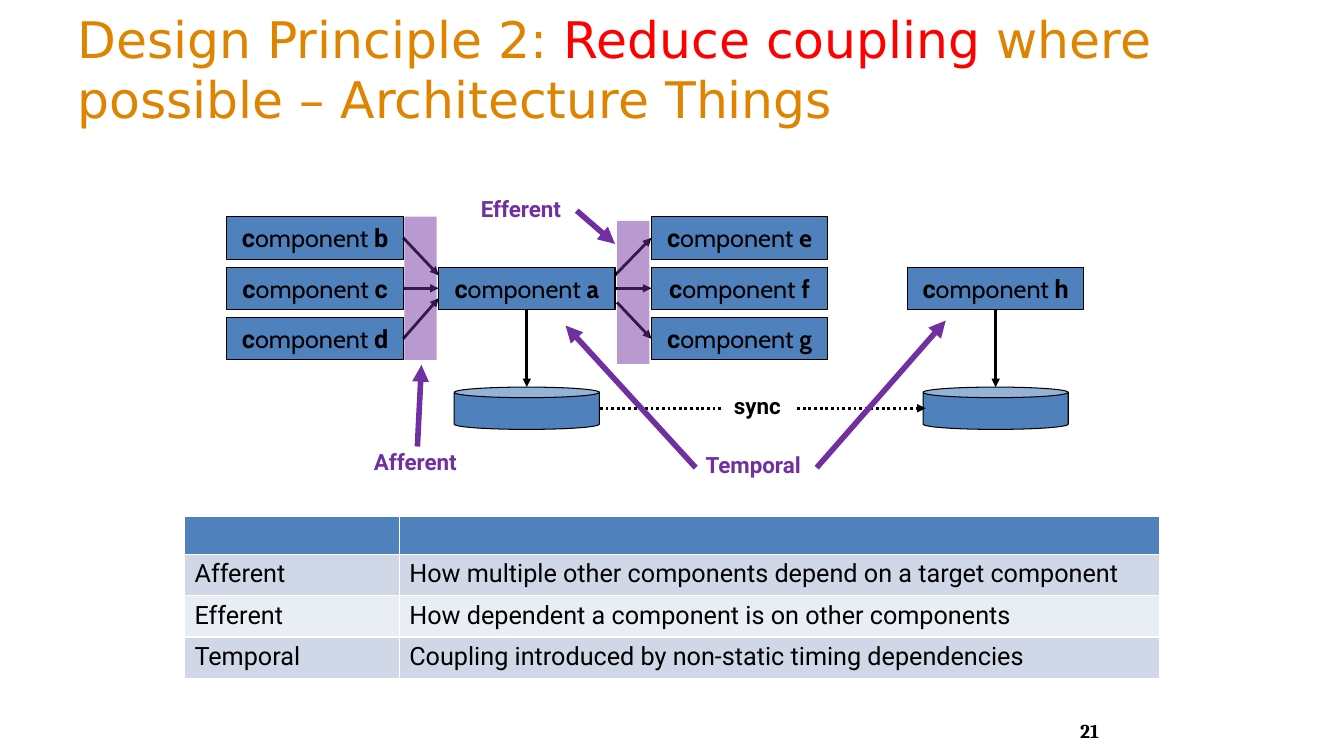
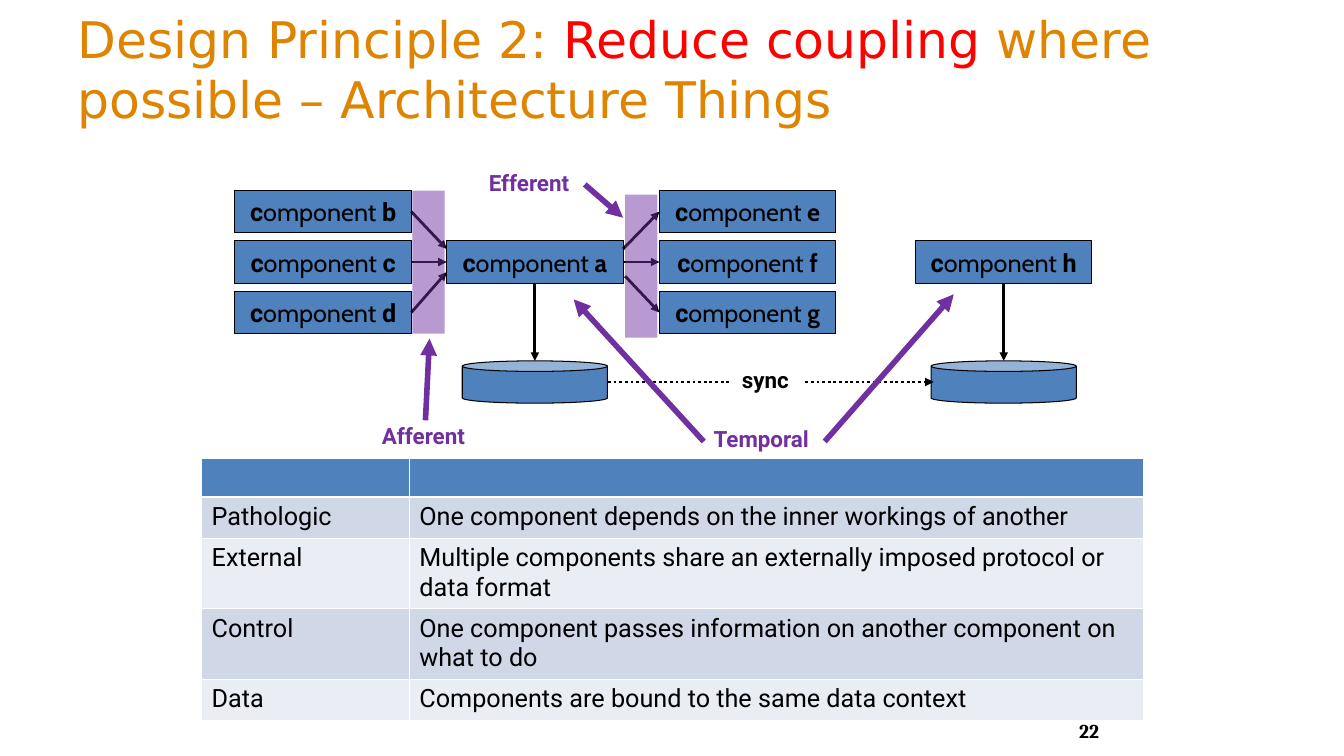
from pptx import Presentation
from pptx.dml.color import RGBColor
from pptx.enum.dml import MSO_LINE
from pptx.enum.shapes import MSO_CONNECTOR, MSO_SHAPE
from pptx.enum.text import MSO_ANCHOR, MSO_AUTO_SIZE, PP_ALIGN
from pptx.oxml.ns import qn
from pptx.util import Inches, Pt
from lxml import etree

RECT, CAN, STRAIGHT = MSO_SHAPE.RECTANGLE, MSO_SHAPE.CAN, MSO_CONNECTOR.STRAIGHT
LEFT, CENTER, RIGHT = PP_ALIGN.LEFT, PP_ALIGN.CENTER, PP_ALIGN.RIGHT
MIDDLE, NO_FIT, DOTTED = MSO_ANCHOR.MIDDLE, MSO_AUTO_SIZE.NONE, MSO_LINE.ROUND_DOT

ORANGE = RGBColor(0xDE, 0x84, 0x00)
RED = RGBColor(0xFF, 0x00, 0x00)
BLUE = RGBColor(0x4F, 0x81, 0xBD)
PURPLE = RGBColor(0x70, 0x30, 0xA0)
BLACK = RGBColor(0x00, 0x00, 0x00)
WHITE = RGBColor(0xFF, 0xFF, 0xFF)
BANDS = [RGBColor(0xE9, 0xED, 0xF4), RGBColor(0xD0, 0xD8, 0xE8)]

TITLE = [("Design Principle 2: ", ORANGE), ("Reduce coupling ", RED),
         ("where possible – Architecture Things", ORANGE)]

BOX_W, BOX_H, ROW_STEP = 1.75, 0.42, 0.5
COLS = [2.25, 4.35, 6.46, 9]
ROWS = [2.15 + ROW_STEP * i for i in range(3)]
CAN_W, CAN_TOP = 1.44, 3.84
COMPONENTS = [("a", 1, 1, "Cabin"), ("b", 0, 0, "Roboto"), ("c", 0, 1, "Roboto"),
              ("d", 0, 2, "Roboto"), ("e", 2, 0, "Cabin"), ("f", 2, 1, "Cabin"),
              ("g", 2, 2, "Cabin"), ("h", 3, 1, "Roboto")]
CALLS = [(4, 2.36, 4.35, 2.73), (4, 3.36, 4.35, 2.96), (4, 2.86, 4.35, 2.86),
         (6.1, 2.86, 6.46, 2.86), (6.1, 2.73, 6.46, 2.36), (6.12, 3, 6.46, 3.36)]
LABELS = [("sync", 7.18, 3.87, 0.71, BLACK), ("Afferent", 3.61, 4.43, 1.06, PURPLE),
          ("Efferent", 4.67, 1.92, 1.05, PURPLE), ("Temporal", 6.9, 4.46, 1.2, PURPLE)]
POINTERS = [(4.14, 4.43, 4.18, 3.62), (5.72, 2.09, 6.1, 2.42),
            (6.9, 4.64, 5.61, 3.23), (8.1, 4.64, 9.38, 3.18)]

SLIDES = [
    ("21", 0, 0, (1.83, 5.12), (2.13, 7.54), [
        ("Afferent", "How multiple other components depend on a target component"),
        ("Efferent", "How dependent a component is on other components"),
        ("Temporal", "Coupling introduced by non-static timing dependencies")]),
    ("22", 0.08, -0.26, (2, 4.55), (2.06, 7.28), [
        ("Pathologic", "One component depends on the inner workings of another"),
        ("External", "Multiple components share an externally imposed protocol or data format"),
        ("Control", "One component passes information on another component on what to do"),
        ("Data", "Components are bound to the same data context")]),
]

prs = Presentation()
prs.slide_width, prs.slide_height = Inches(13.33), Inches(7.5)


def box(kind, x, y, w, h, fill, outlined=True):
    sp = s.shapes.add_shape(kind, Inches(x + dx), Inches(y + dy), Inches(w), Inches(h))
    sp.shadow.inherit = False
    sp.fill.solid()
    sp.fill.fore_color.rgb = fill
    if outlined:
        sp.line.color.rgb = BLACK
        sp.line.width = Pt(0.75)
    else:
        sp.line.fill.background()
    sp.text_frame.word_wrap = False
    return sp


def arrow(x1, y1, x2, y2, color, width):
    cn = s.shapes.add_connector(STRAIGHT, Inches(x1 + dx), Inches(y1 + dy),
                                Inches(x2 + dx), Inches(y2 + dy))
    cn.line.color.rgb = color
    cn.line.width = Pt(width)
    etree.SubElement(cn.line._get_or_add_ln(), qn("a:tailEnd"), type="triangle")
    etree.SubElement(cn._element.spPr, qn("a:effectLst"))
    return cn


for number, dx, dy, corner, widths, rows in SLIDES:
    s = prs.slides.add_slide(prs.slide_layouts[5])

    title = s.shapes.title
    title.left, title.top = Inches(0.67), Inches(0.3)
    title.width, title.height = Inches(12), Inches(0.76)
    tf = title.text_frame
    tf.auto_size, tf.vertical_anchor = NO_FIT, MIDDLE
    p = tf.paragraphs[0]
    p.alignment = LEFT
    for text, color in TITLE:
        r = p.add_run()
        r.text = text
        r.font.size, r.font.name, r.font.color.rgb = Pt(36), "DejaVu Sans", color

    tf = s.shapes.add_textbox(Inches(10.5), Inches(7), Inches(0.5), Inches(0.5)).text_frame
    tf.text, tf.word_wrap, tf.vertical_anchor = number, True, MIDDLE
    p = tf.paragraphs[0]
    p.alignment = RIGHT
    font = p.runs[0].font
    font.size, font.name, font.bold, font.color.rgb = Pt(14), "Cambria", True, BLACK

    heights = [0.38] + [0.41] * len(rows)
    table = s.shapes.add_table(len(heights), 2, Inches(corner[0]), Inches(corner[1]),
                               Inches(sum(widths)), Inches(sum(heights))).table
    for column, width in zip(table.columns, widths):
        column.width = Inches(width)
    for i, height in enumerate(heights):
        table.rows[i].height = Inches(height)
        for j in range(2):
            cell = table.cell(i, j)
            cell.fill.solid()
            cell.fill.fore_color.rgb = BANDS[i % 2] if i else BLUE
            if i == 0:
                cell.margin_top = cell.margin_bottom = Inches(0.04)
                continue
            cell.text = rows[i - 1][j]
            font = cell.text_frame.paragraphs[0].runs[0].font
            font.size, font.name, font.color.rgb = Pt(18), "Roboto", BLACK

    for letter, col, row, face in COMPONENTS:
        p = box(RECT, COLS[col], ROWS[row], BOX_W, BOX_H, BLUE).text_frame.paragraphs[0]
        p.alignment = CENTER
        for text, name, bold in [("c", "Roboto", True), ("omponent ", "Cabin", False),
                                 (letter, face, True)]:
            r = p.add_run()
            r.text = text
            r.font.size, r.font.name, r.font.bold = Pt(18), name, bold
            r.font.color.rgb = BLACK

    for ends in CALLS:
        arrow(*ends, BLACK, 2)

    for col in (1, 3):
        center = COLS[col] + BOX_W / 2
        box(CAN, center - CAN_W / 2, CAN_TOP, CAN_W, BOX_H, BLUE)
        arrow(center, ROWS[1] + BOX_H, center, CAN_TOP, BLACK, 2)
    sync = arrow(5.95, 4.05, 9.18, 4.05, BLACK, 2)
    sync.line.dash_style = DOTTED

    for text, x, y, w, color in LABELS:
        tf = box(RECT, x, y, w, 0.34, WHITE, False).text_frame
        tf.text = text
        p = tf.paragraphs[0]
        p.alignment, p.line_spacing = LEFT, 0.9
        font = p.runs[0].font
        font.size, font.name, font.bold, font.color.rgb = Pt(16), "Roboto", True, color

    for x, y in [(4.01, 2.15), (6.12, 2.19)]:
        band = box(RECT, x, y, 0.32, 1.42, PURPLE, False)
        tint = band._element.spPr.find(qn("a:solidFill")).find(qn("a:srgbClr"))
        etree.SubElement(tint, qn("a:alpha"), val="49000")

    for ends in POINTERS:
        arrow(*ends, PURPLE, 4)

prs.save("out.pptx")
